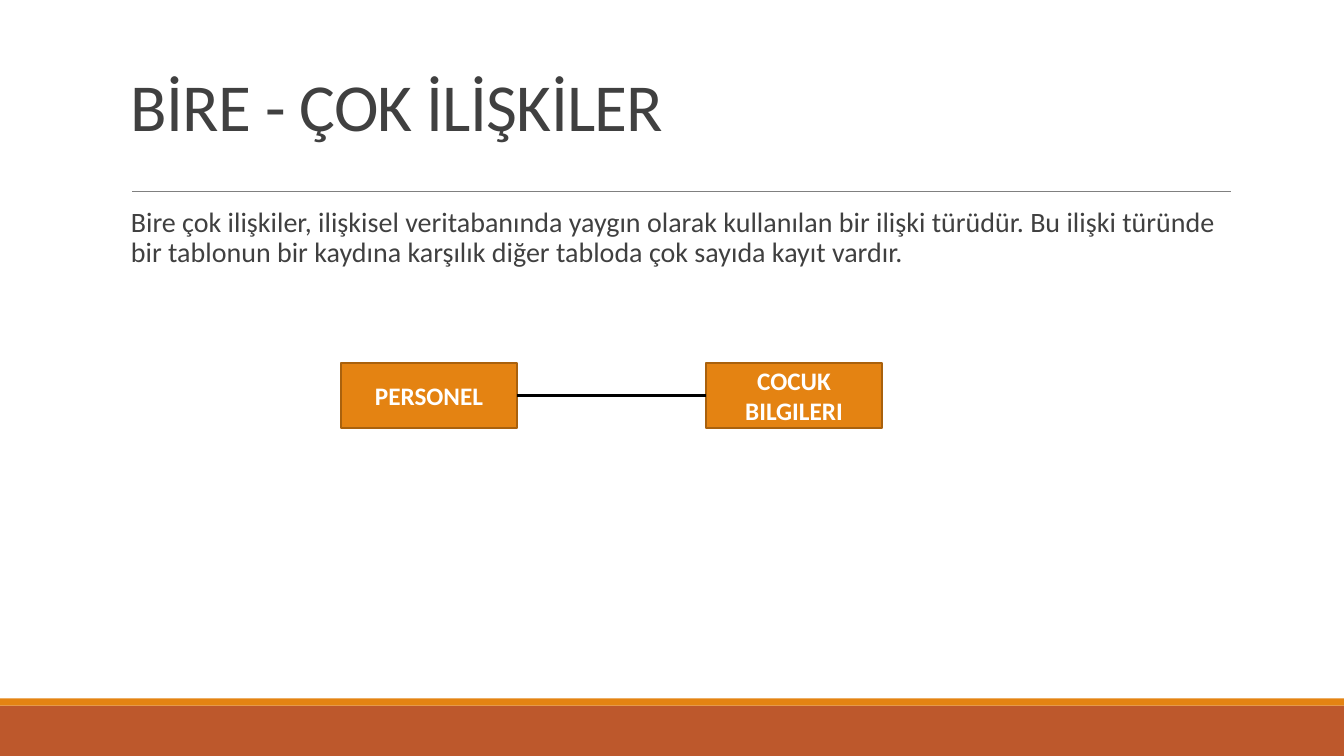
from pptx import Presentation
from pptx.dml.color import RGBColor
from pptx.enum.shapes import MSO_CONNECTOR as CONNECTOR, MSO_SHAPE as SHAPE
from pptx.enum.text import MSO_ANCHOR as ANCHOR, PP_ALIGN as ALIGN
from pptx.oxml.ns import qn
from pptx.util import Inches, Pt
from lxml.etree import SubElement

COLORS = {
    "text": "404040",
    "orange": "E48312",
    "rust": "BD582C",
    "border": "A9610D",
    "rule": "808080",
    "link": "000000",
    "label": "FFFFFF",
}
SLIDE_WIDTH, SLIDE_HEIGHT = 13.33, 7.5
TEXT_LEFT, TEXT_WIDTH = 1.2, 11
ENTITY_TOP, ENTITY_WIDTH, ENTITY_HEIGHT = 3.6, 1.75, 0.65
ENTITIES = [("PERSONEL", 3.38), ("COCUK BILGILERI", 7)]


def color(name):
    return RGBColor.from_string(COLORS[name])


def style_paragraph(paragraph, size, color_name, bold=False):
    font = paragraph.font
    font.name = "Calibri"
    font.size = Pt(size)
    font.bold = bold
    font.color.rgb = color(color_name)


def add_rectangle(slide, left, top, width, height, fill, border=None):
    rectangle = slide.shapes.add_shape(
        SHAPE.RECTANGLE, Inches(left), Inches(top), Inches(width), Inches(height))
    rectangle.shadow.inherit = False
    rectangle.fill.solid()
    rectangle.fill.fore_color.rgb = color(fill)
    if border:
        rectangle.line.color.rgb = color(border)
        rectangle.line.width = Pt(1.25)
    else:
        rectangle.line.fill.background()
    return rectangle


def add_entity(slide, label, left):
    entity = add_rectangle(slide, left, ENTITY_TOP, ENTITY_WIDTH, ENTITY_HEIGHT,
                           "orange", "border")
    frame = entity.text_frame
    frame.word_wrap = True
    frame.vertical_anchor = ANCHOR.MIDDLE
    paragraph = frame.paragraphs[0]
    paragraph.text = label
    paragraph.alignment = ALIGN.CENTER
    style_paragraph(paragraph, 18, "label", bold=True)
    return entity


def add_line(slide, start, end, y, color_name, width):
    line = slide.shapes.add_connector(
        CONNECTOR.STRAIGHT, Inches(start), Inches(y), Inches(end), Inches(y))
    line.line.color.rgb = color(color_name)
    line.line.width = Pt(width)
    SubElement(line._element.spPr, qn("a:effectLst"))
    return line


def add_text(slide, text, top, height, size, spacing, anchor):
    box = slide.shapes.add_textbox(
        Inches(TEXT_LEFT), Inches(top), Inches(TEXT_WIDTH), Inches(height))
    frame = box.text_frame
    frame.word_wrap = True
    frame.vertical_anchor = anchor
    paragraph = frame.paragraphs[0]
    paragraph.text = text
    paragraph.line_spacing = spacing
    style_paragraph(paragraph, size, "text")
    return frame


def add_title(slide, text):
    frame = add_text(slide, text, 0.31, 1.59, 48, 0.85, ANCHOR.MIDDLE)
    run = frame.paragraphs[0].runs[0]
    run._r.get_or_add_rPr().set("spc", "-50")


def add_description(slide, text):
    frame = add_text(slide, text, 2.02, 0.93, 20, 0.9, ANCHOR.TOP)
    frame.margin_right = 0
    paragraph = frame.paragraphs[0]
    paragraph.space_before = Pt(12)
    paragraph.space_after = Pt(2)


def main():
    deck = Presentation()
    deck.slide_width = Inches(SLIDE_WIDTH)
    deck.slide_height = Inches(SLIDE_HEIGHT)
    slide = deck.slides.add_slide(deck.slide_layouts[6])

    add_rectangle(slide, 0, 7, SLIDE_WIDTH, 0.5, "rust")
    add_rectangle(slide, 0, 6.93, SLIDE_WIDTH, 0.07, "orange")
    add_line(slide, 1.31, 12.21, 1.9, "rule", 0.5)
    add_title(slide, "BİRE - ÇOK İLİŞKİLER")
    add_description(
        slide,
        "Bire çok ilişkiler, ilişkisel veritabanında yaygın olarak kullanılan "
        "bir ilişki türüdür. Bu ilişki türünde bir tablonun bir kaydına karşılık "
        "diğer tabloda çok sayıda kayıt vardır.")

    personnel, children = [add_entity(slide, *entity) for entity in ENTITIES]
    relation = add_line(slide, ENTITIES[0][1] + ENTITY_WIDTH, ENTITIES[1][1],
                        ENTITY_TOP + ENTITY_HEIGHT / 2, "link", 2.25)
    relation.begin_connect(personnel, 3)
    relation.end_connect(children, 1)

    deck.save("out.pptx")


main()
